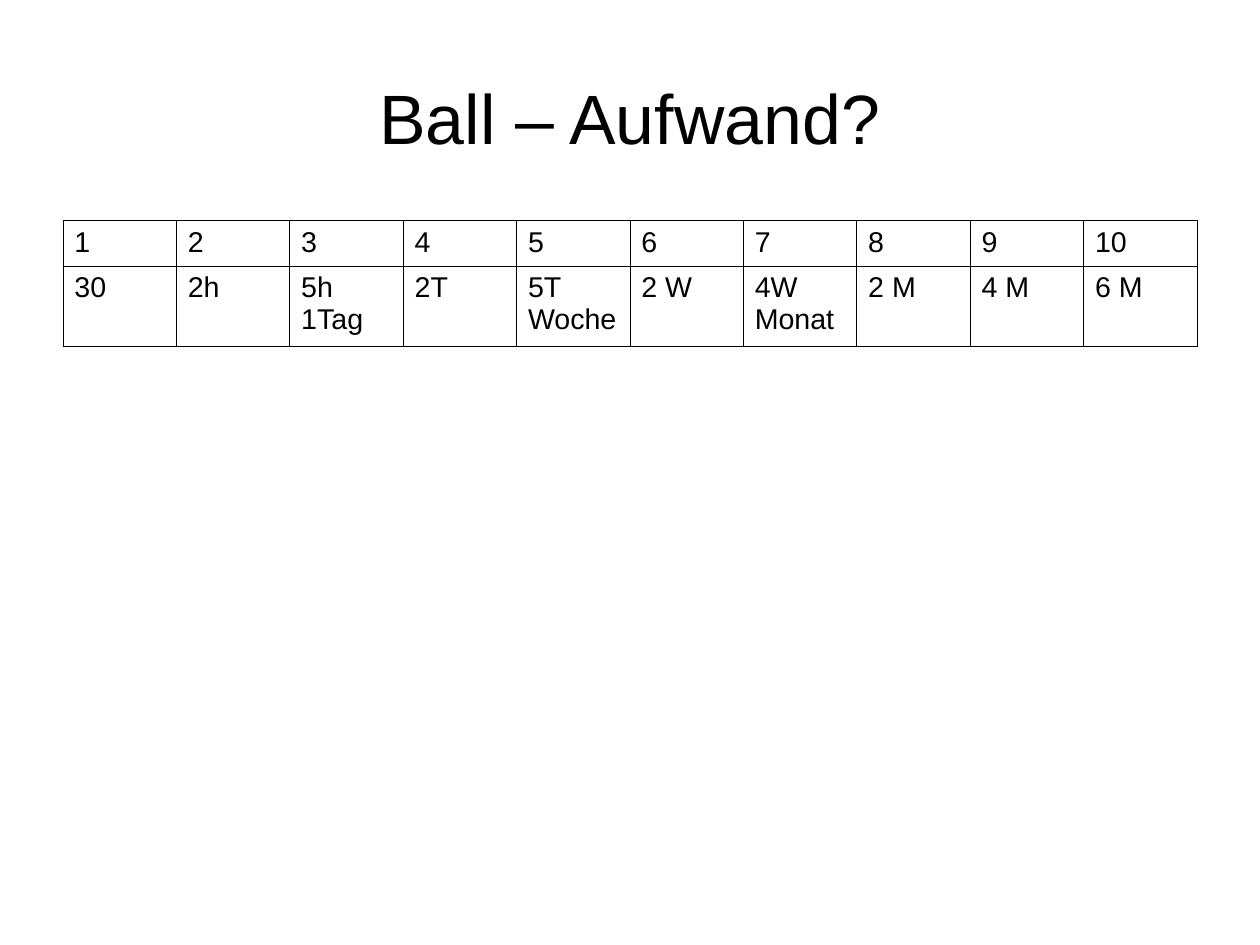
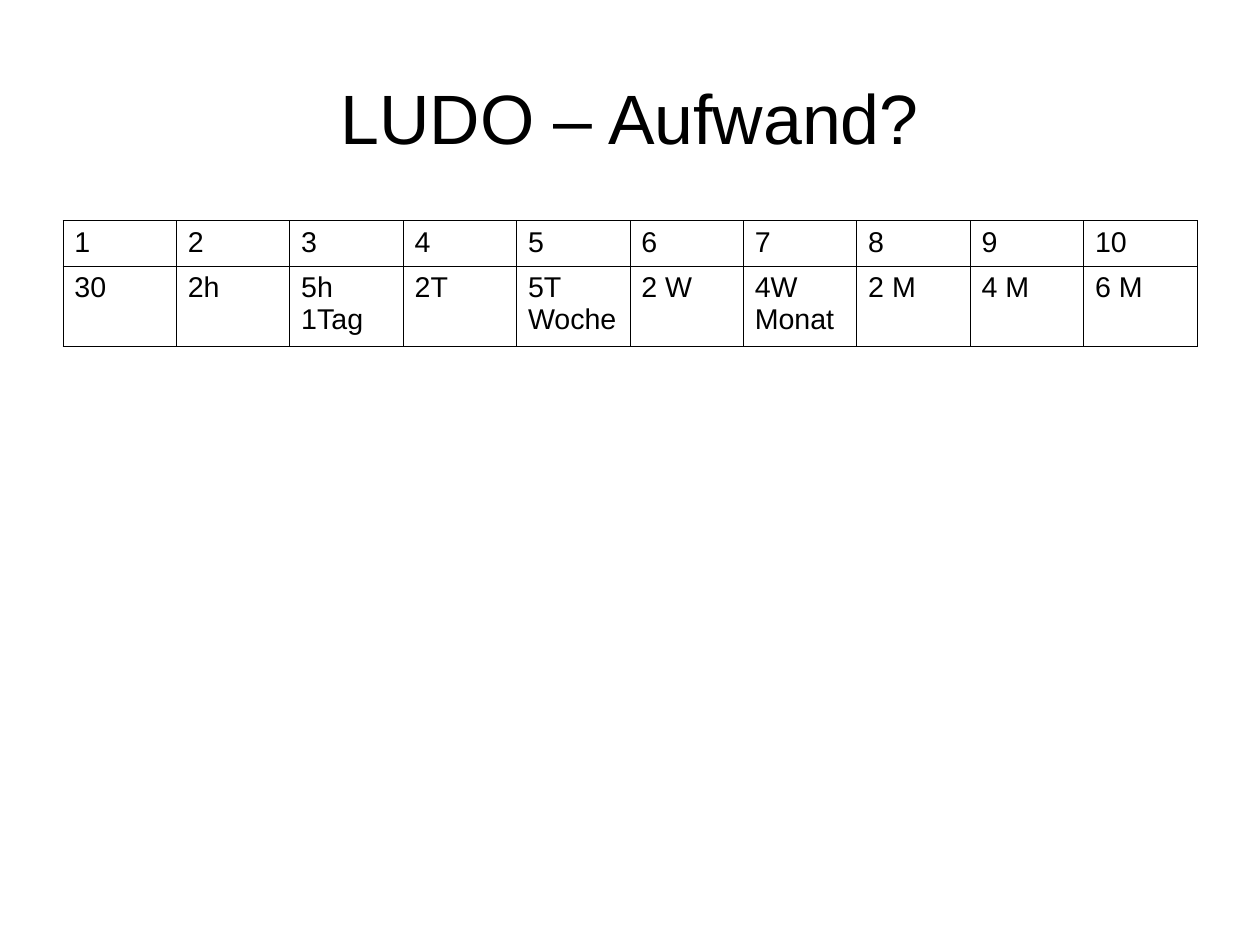
"""Build two effort-estimate slides, each with a title and a scale table."""
from dataclasses import dataclass

from lxml.etree import SubElement
from pptx import Presentation
from pptx.dml.color import RGBColor
from pptx.enum.text import MSO_ANCHOR, PP_ALIGN
from pptx.oxml.ns import qn
from pptx.slide import Slide
from pptx.table import _Cell as Cell
from pptx.text.text import _Paragraph as Paragraph
from pptx.util import Inches, Pt

COLORS = {"text": "000000", "border": "000000"}
FONT = "Arial"
CM_PER_INCH = 2.54
PAGE_WIDTH, PAGE_HEIGHT = 28 / CM_PER_INCH, 21 / CM_PER_INCH
LEFT = 1.4 / CM_PER_INCH
CONTENT_WIDTH = PAGE_WIDTH - 2 * LEFT
TITLE_TOP, TITLE_HEIGHT = 0.33, 1.38
TABLE_TOP = 1.93
ROW_HEIGHTS = (0.4, 0.7)
BORDER_WIDTH = 0.57
TITLE_LAYOUT = 5


@dataclass(frozen=True)
class EffortSlide:
    title: str
    efforts: tuple[str, ...]


EFFORTS = ("30", "2h", "5h 1Tag", "2T", "5T\nWoche",
           "2 W", "4W\nMonat", "2 M", "4 M", "6 M")
SLIDES = (
    EffortSlide("Ball – Aufwand?", EFFORTS),
    EffortSlide("LUDO – Aufwand?", EFFORTS),
)


def write(para: Paragraph, text: str, size: float, align: PP_ALIGN) -> None:
    para.text = text
    para.alignment = align
    para.font.name = FONT
    para.font.size = Pt(size)
    para.font.color.rgb = RGBColor.from_string(COLORS["text"])


def add_title(page: Slide, text: str) -> None:
    title = page.shapes.title
    title.left, title.top = Inches(LEFT), Inches(TITLE_TOP)
    title.width, title.height = Inches(CONTENT_WIDTH), Inches(TITLE_HEIGHT)
    frame = title.text_frame
    frame.margin_left = frame.margin_right = 0
    frame.margin_top = frame.margin_bottom = 0
    frame.vertical_anchor = MSO_ANCHOR.MIDDLE
    write(frame.paragraphs[0], text, 44, PP_ALIGN.CENTER)


def add_borders(cell: Cell) -> None:
    properties = cell._tc.get_or_add_tcPr()
    for side in ("lnL", "lnR", "lnT", "lnB"):
        line = SubElement(properties, qn(f"a:{side}"), w=str(Pt(BORDER_WIDTH)))
        fill = SubElement(line, qn("a:solidFill"))
        SubElement(fill, qn("a:srgbClr"), val=COLORS["border"])


def add_scale_table(page: Slide, efforts: tuple[str, ...]) -> None:
    levels = [str(level) for level in range(1, len(efforts) + 1)]
    rows = (levels, efforts)
    table = page.shapes.add_table(
        len(rows), len(efforts), Inches(LEFT), Inches(TABLE_TOP),
        Inches(CONTENT_WIDTH), Inches(sum(ROW_HEIGHTS))).table
    table.first_row = table.horz_banding = False
    for column in table.columns:
        column.width = Inches(CONTENT_WIDTH / len(efforts))
    for row, height, texts in zip(table.rows, ROW_HEIGHTS, rows):
        row.height = Inches(height)
        for cell, text in zip(row.cells, texts):
            add_borders(cell)
            cell.fill.background()
            write(cell.text_frame.paragraphs[0], text, 18, PP_ALIGN.LEFT)


def main() -> None:
    deck = Presentation()
    deck.slide_width, deck.slide_height = Inches(PAGE_WIDTH), Inches(PAGE_HEIGHT)
    for content in SLIDES:
        page = deck.slides.add_slide(deck.slide_layouts[TITLE_LAYOUT])
        add_title(page, content.title)
        add_scale_table(page, content.efforts)
    deck.save("out.pptx")


if __name__ == "__main__":
    main()
